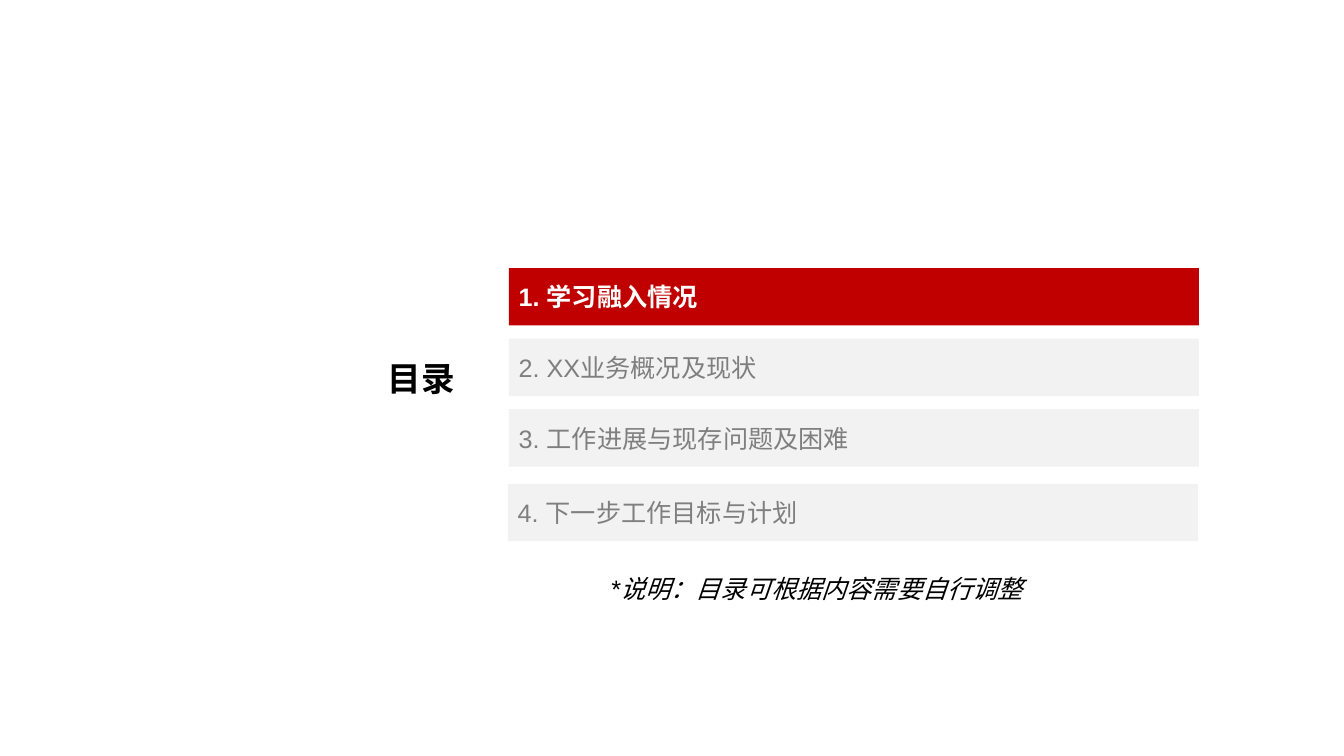
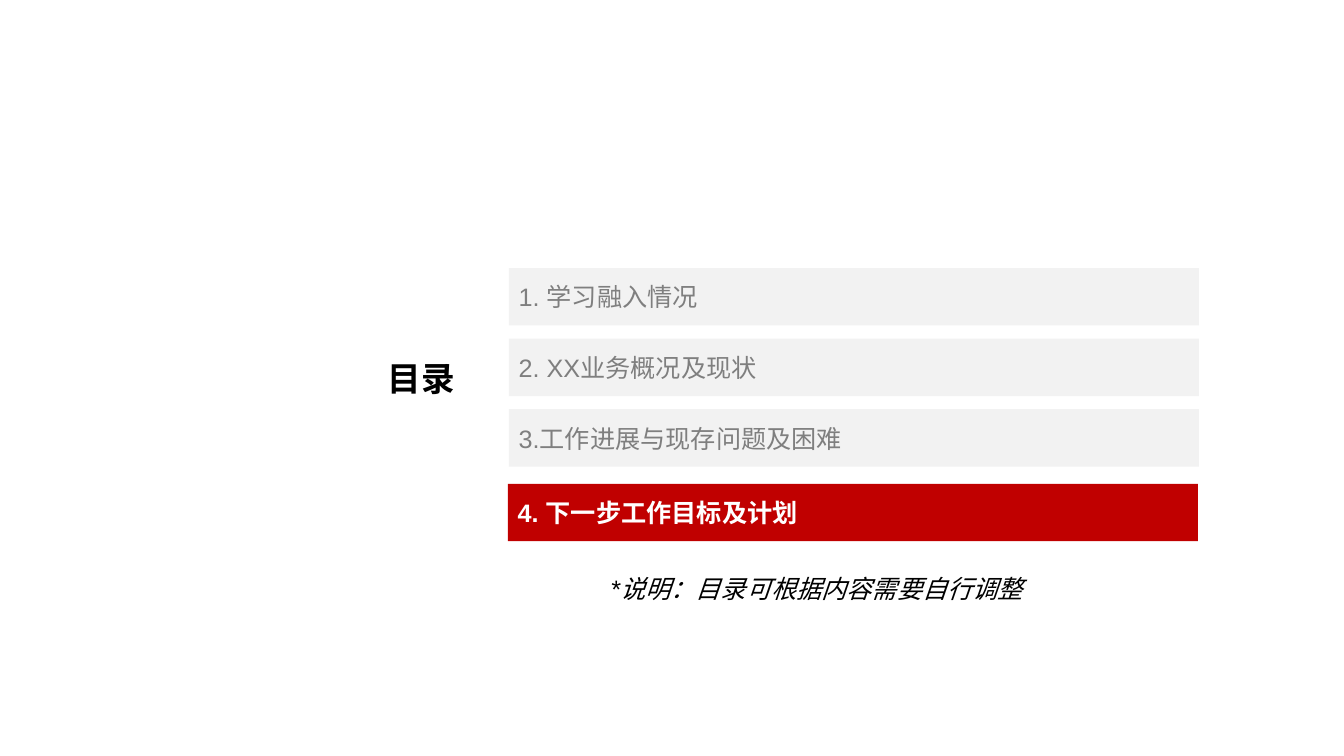
from dataclasses import dataclass

from lxml.etree import SubElement
from pptx import Presentation
from pptx.dml.color import RGBColor
from pptx.enum.lang import MSO_LANGUAGE_ID as Language
from pptx.enum.shapes import MSO_SHAPE as Shape
from pptx.enum.text import MSO_ANCHOR as Anchor, PP_ALIGN as Align
from pptx.oxml.ns import qn
from pptx.util import Inches, Pt


@dataclass(frozen=True)
class Theme:
    font: str = "Arial"
    heading_size: int = 24
    body_size: int = 18
    ink: str = "000000"
    active_fill: str = "C00000"
    active_text: str = "FFFFFF"
    idle_fill: str = "F2F2F2"
    idle_text: str = "7F7F7F"


@dataclass(frozen=True)
class AgendaGrid:
    left: float = 5.05
    top: float = 2.66
    width: float = 6.85
    row_height: float = 0.57
    row_pitch: float = 0.7
    last_shift: tuple = (-0.01, 0.04)

    def box(self, row, row_count):
        """Return the box of a row; the last row sits slightly apart."""
        shift_x, shift_y = self.last_shift if row == row_count - 1 else (0, 0)
        return (self.left + shift_x, self.top + row * self.row_pitch + shift_y,
                self.width, self.row_height)


THEME = Theme()
GRID = AgendaGrid()
SLIDE_SIZE = (13.34, 7.5)
HEADING_BOX = (3.75, 3.5, 1.1, 0.5)
NOTE_BOX = (5.96, 5.64, 4.64, 0.4)
HEADING = "目录"
NOTE = "*说明：目录可根据内容需要自行调整"

# Each agenda: its entries and the row that is highlighted.
AGENDAS = [
    (["1. 学习融入情况", "2. XX业务概况及现状",
      "3. 工作进展与现存问题及困难", "4. 下一步工作目标与计划"], 0),
    (["1. 学习融入情况", "2. XX业务概况及现状",
      "3.工作进展与现存问题及困难", "4. 下一步工作目标及计划"], 3),
]


def write_text(shape, text, color, size=THEME.body_size, bold=False, italic=False):
    shape.text_frame.word_wrap = True
    paragraph = shape.text_frame.paragraphs[0]
    paragraph.alignment = Align.LEFT
    run = paragraph.add_run()
    run.text = text
    font = run.font
    font.name = THEME.font
    font.size = Pt(size)
    font.bold = bold
    font.italic = italic
    font.color.rgb = RGBColor.from_string(color)
    font.language_id = Language.SIMPLIFIED_CHINESE
    east_asian = SubElement(run._r.get_or_add_rPr(), qn("a:ea"))
    east_asian.set("typeface", THEME.font)


def add_label(slide, box, text, **style):
    label = slide.shapes.add_textbox(*map(Inches, box))
    write_text(label, text, THEME.ink, **style)


def add_agenda_bar(slide, box, text, active):
    bar = slide.shapes.add_shape(Shape.RECTANGLE, *map(Inches, box))
    bar.shadow.inherit = False
    bar.fill.solid()
    bar.fill.fore_color.rgb = RGBColor.from_string(
        THEME.active_fill if active else THEME.idle_fill)
    bar.line.fill.background()
    bar.text_frame.vertical_anchor = Anchor.MIDDLE
    write_text(bar, text, THEME.active_text if active else THEME.idle_text,
               bold=active)


def add_agenda_slide(presentation, entries, active_row):
    slide = presentation.slides.add_slide(presentation.slide_layouts[6])
    add_label(slide, HEADING_BOX, HEADING, size=THEME.heading_size, bold=True)
    for row, entry in enumerate(entries):
        add_agenda_bar(slide, GRID.box(row, len(entries)), entry, row == active_row)
    add_label(slide, NOTE_BOX, NOTE, italic=True)


def main():
    presentation = Presentation()
    presentation.slide_width, presentation.slide_height = map(Inches, SLIDE_SIZE)
    for entries, active_row in AGENDAS:
        add_agenda_slide(presentation, entries, active_row)
    presentation.save("out.pptx")


if __name__ == "__main__":
    main()
